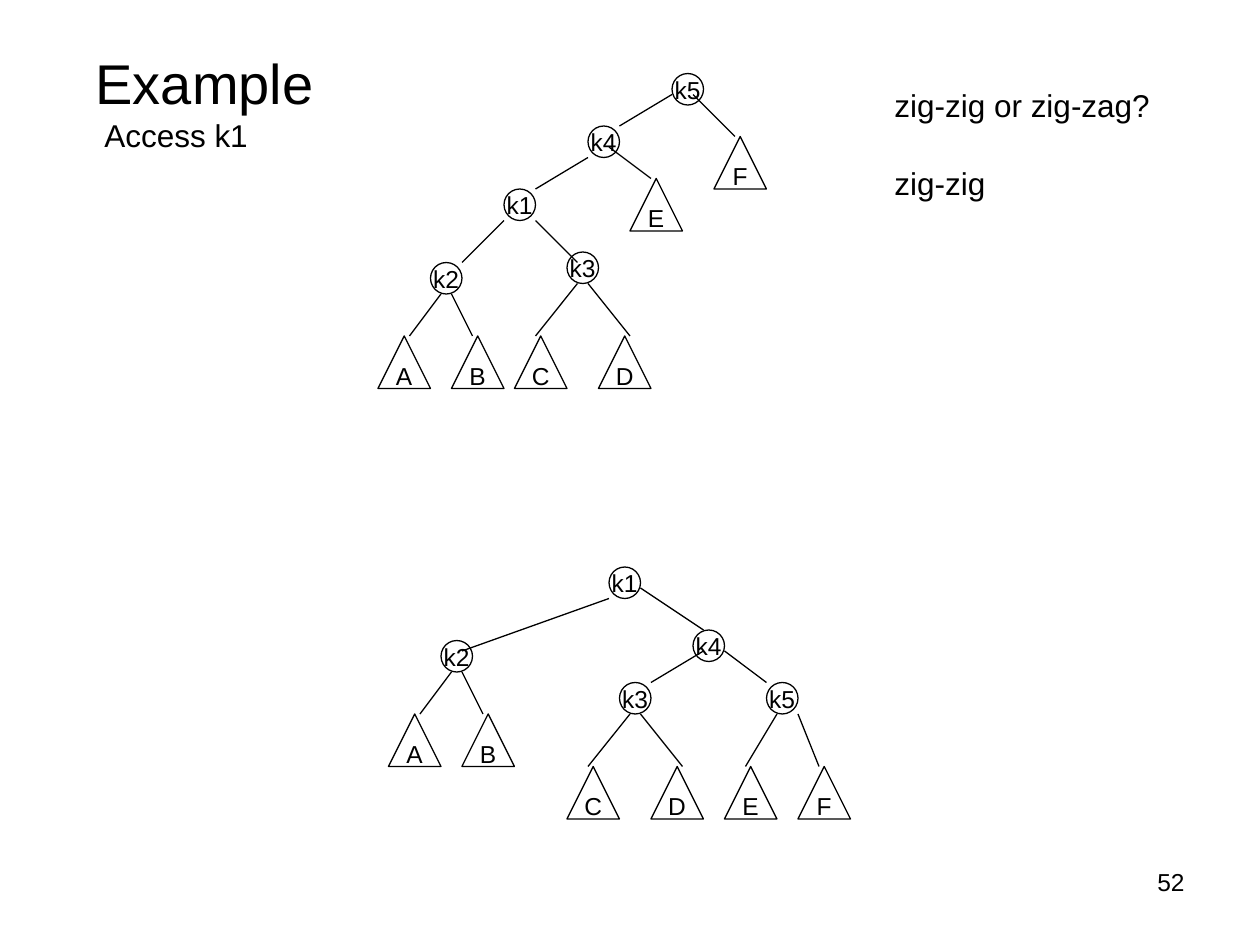
from dataclasses import dataclass

from pptx import Presentation
from pptx.dml.color import RGBColor
from pptx.enum import shapes, text
from pptx.oxml import ns
from pptx.util import Inches, Pt
from lxml import etree


@dataclass(frozen=True)
class Theme:
    font: str = "Arial"
    ink: RGBColor = RGBColor(0, 0, 0)
    paper: RGBColor = RGBColor(255, 255, 255)
    title: int = 32
    body: int = 18
    label: int = 14
    line: float = 0.75


THEME = Theme()
NODE_SIZE = 3
LEAF_SIZE = 5

BEFORE = {
    "nodes": {"k1": (48, 18), "k2": (41, 25), "k3": (54, 24), "k4": (56, 12), "k5": (64, 7)},
    "leaves": {"A": (36, 32), "B": (43, 32), "C": (49, 32), "D": (57, 32),
               "E": (60, 17), "F": (68, 13)},
    "edges": [(64, 9, 59, 12), (66, 9, 70, 13), (56, 15, 51, 18), (58, 14, 62, 17),
              (48, 21, 44, 25), (51, 21, 55, 25), (42, 28, 39, 32), (43, 28, 45, 32),
              (55, 27, 51, 32), (56, 27, 60, 32)],
}
AFTER = {
    "nodes": {"k1": (58, 54), "k2": (42, 61), "k3": (59, 65), "k4": (66, 60), "k5": (73, 65)},
    "leaves": {"A": (37, 68), "B": (44, 68), "C": (54, 73), "D": (62, 73),
               "E": (69, 73), "F": (76, 73)},
    "edges": [(58, 57, 44, 62), (67, 60, 61, 56), (67, 62, 62, 65), (69, 62, 73, 65),
              (43, 64, 40, 68), (44, 64, 46, 68), (60, 68, 56, 73), (61, 68, 65, 73),
              (74, 68, 71, 73), (76, 68, 78, 73)],
}


def grid(*twelfths):
    return [Inches(n / 12) for n in twelfths]


def write(tf, content, size, align):
    p = tf.paragraphs[0]
    p.alignment = align
    r = p.add_run()
    r.text = content
    r.font.name = THEME.font
    r.font.size = Pt(size)
    r.font.color.rgb = THEME.ink


def add_text(s, content, box, size, align=text.PP_ALIGN.LEFT,
             anchor=text.MSO_ANCHOR.TOP, wrap=False):
    tf = s.shapes.add_textbox(*map(Inches, box)).text_frame
    tf.word_wrap = wrap
    tf.vertical_anchor = anchor
    if not wrap:
        tf.auto_size = text.MSO_AUTO_SIZE.SHAPE_TO_FIT_TEXT
    write(tf, content, size, align)


def add_labelled(group, kind, label, at, size):
    sp = group.shapes.add_shape(kind, *grid(*at, size, size))
    sp.shadow.inherit = False
    sp.fill.background()
    sp.line.color.rgb = THEME.ink
    sp.line.width = Pt(THEME.line)
    tf = sp.text_frame
    tf.word_wrap = False
    tf.vertical_anchor = text.MSO_ANCHOR.MIDDLE
    write(tf, label, THEME.label, text.PP_ALIGN.CENTER)


def add_edge(group, ends):
    edge = group.shapes.add_connector(shapes.MSO_CONNECTOR.STRAIGHT, *grid(*ends))
    edge.line.color.rgb = THEME.ink
    edge.line.width = Pt(THEME.line)
    etree.SubElement(edge._element.spPr, ns.qn("a:effectLst"))


def add_tree(s, tree):
    group = s.shapes.add_group_shape()
    for label, at in tree["nodes"].items():
        add_labelled(group, shapes.MSO_SHAPE.OVAL, label, at, NODE_SIZE)
    for label, at in tree["leaves"].items():
        add_labelled(group, shapes.MSO_SHAPE.ISOSCELES_TRIANGLE, label, at, LEAF_SIZE)
    for ends in tree["edges"]:
        add_edge(group, ends)


def main():
    prs = Presentation()
    prs.slide_width, prs.slide_height = Inches(10), Inches(7.5)
    s = prs.slides.add_slide(prs.slide_layouts[6])
    s.background.fill.solid()
    s.background.fill.fore_color.rgb = THEME.paper

    add_text(s, "Example", (0.5, 0.3, 2.25, 0.7), THEME.title,
             text.PP_ALIGN.CENTER, text.MSO_ANCHOR.MIDDLE, wrap=True)
    add_text(s, "Access k1", (0.73, 0.87, 1.34, 0.4), THEME.body)
    add_tree(s, BEFORE)
    add_tree(s, AFTER)
    add_text(s, "zig-zig or zig-zag?", (7, 0.63, 2.23, 0.4), THEME.body)
    add_text(s, "zig-zig", (7, 1.25, 0.92, 0.4), THEME.body)
    add_text(s, "52", (7.17, 6.83, 2.33, 0.52), THEME.label,
             text.PP_ALIGN.RIGHT, wrap=True)
    prs.save("out.pptx")


if __name__ == "__main__":
    main()
